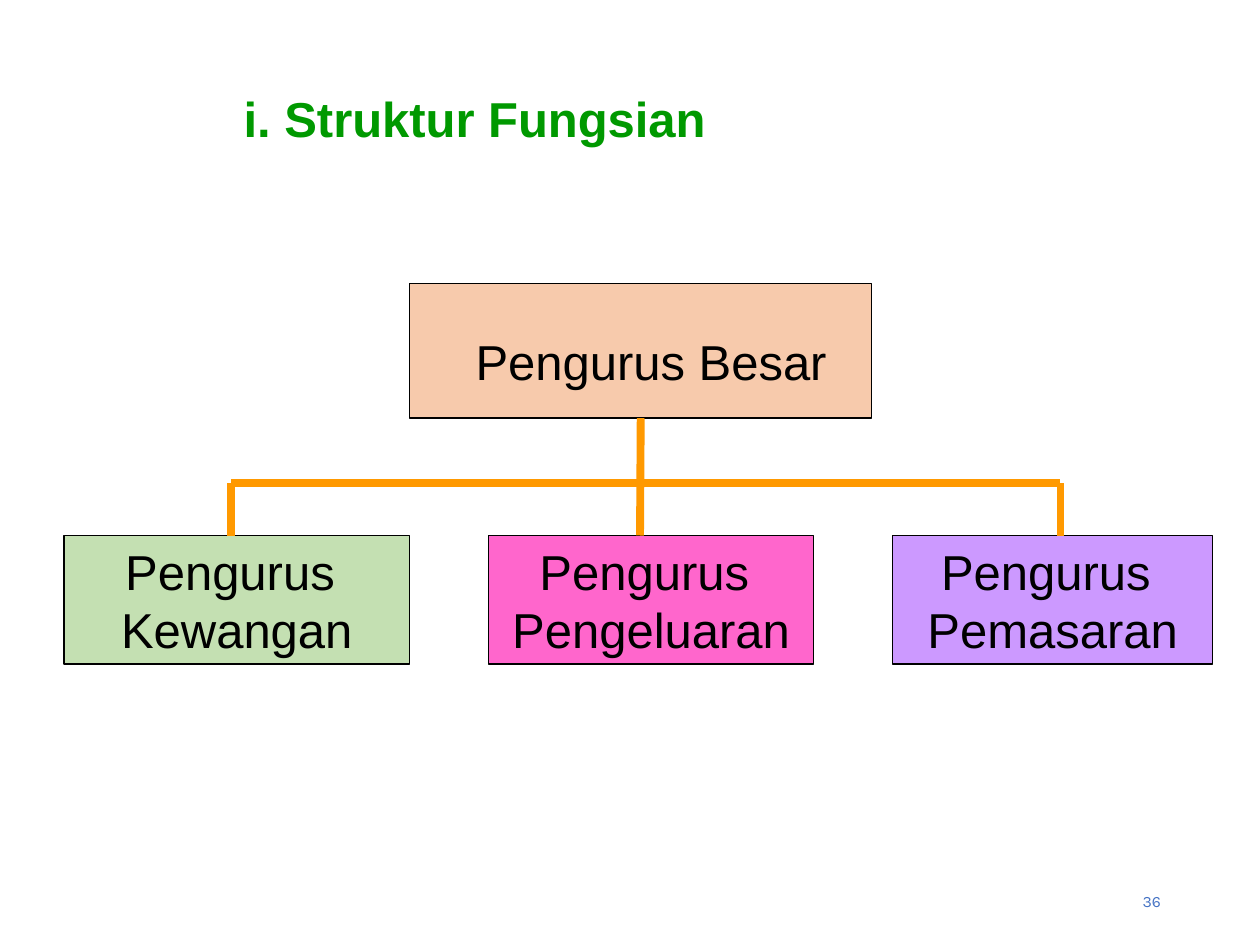
"""Build the functional structure organisation chart slide."""
import pptx
import pptx.dml.color
import pptx.enum.shapes
import pptx.enum.text
import pptx.oxml.ns
import pptx.util
from lxml import etree

Pt = pptx.util.Pt
ALIGN = pptx.enum.text.PP_ALIGN
ANCHOR = pptx.enum.text.MSO_ANCHOR

COLOURS = {
    "black": "000000", "peach": "F7CAAC", "green": "C4E0B2", "pink": "FF66CC",
    "violet": "CC99FF", "orange": "FF9900", "title": "009900", "number": "4472C4",
}
TITLE = "i. Struktur Fungsian"
HEAD = "Pengurus Besar"
SLIDE_NUMBER = "36"
DEPARTMENTS = [
    ("Pengurus \vKewangan", "green", 36.5, 197.5),
    ("Pengurus \vPengeluaran", "pink", 279, 186),
    ("Pengurus \vPemasaran", "violet", 510, 183),
]
HEAD_BOX = (234, 162, 264.25, 77)
DEPARTMENT_TOP, DEPARTMENT_HEIGHT = 306, 73.5
BAR_LEFT, BAR_RIGHT, BAR_TOP = 132, 606, 276
TRUNK_TOP, TRUNK_BOTTOM = (366, 239), (365.75, DEPARTMENT_TOP)


def colour(name):
    return pptx.dml.color.RGBColor.from_string(COLOURS[name])


def write(shape, text, size=28, font="Arial", ink="black", bold=False,
          align=ALIGN.CENTER, anchor=ANCHOR.MIDDLE, wrap=True):
    frame = shape.text_frame
    frame.text = text
    frame.word_wrap = wrap
    frame.auto_size = pptx.enum.text.MSO_AUTO_SIZE.NONE
    frame.vertical_anchor = anchor
    paragraph = frame.paragraphs[0]
    paragraph.alignment = align
    for run in paragraph.runs:
        run.font.size = Pt(size)
        run.font.name = font
        run.font.bold = bold
        run.font.color.rgb = colour(ink)
    return paragraph


def add_box(slide, fill, *place):
    box = slide.shapes.add_shape(
        pptx.enum.shapes.MSO_SHAPE.RECTANGLE, *map(Pt, place))
    box.shadow.inherit = False
    box.fill.solid()
    box.fill.fore_color.rgb = colour(fill)
    box.line.color.rgb = colour("black")
    box.line.width = Pt(0.75)
    return box


def add_line(slide, start, end):
    line = slide.shapes.add_connector(
        pptx.enum.shapes.MSO_CONNECTOR.STRAIGHT, *map(Pt, (*start, *end)))
    line.line.color.rgb = colour("orange")
    line.line.width = Pt(4.5)
    properties = line._element.spPr
    etree.SubElement(properties, pptx.oxml.ns.qn("a:effectLst"))
    return line


def main():
    presentation = pptx.Presentation()
    presentation.slide_width, presentation.slide_height = Pt(720), Pt(540)
    slide = presentation.slides.add_slide(presentation.slide_layouts[5])

    title = slide.shapes.title
    title.left, title.top, title.width, title.height = map(Pt, (132, 50.5, 354, 38))
    paragraph = write(title, TITLE, ink="title", bold=True, align=ALIGN.LEFT)
    paragraph.line_spacing = 0.9

    head = add_box(slide, "peach", *HEAD_BOX)
    for text, fill, left, width in DEPARTMENTS:
        box = add_box(slide, fill, left, DEPARTMENT_TOP, width, DEPARTMENT_HEIGHT)
        write(box, text, wrap=False)

    label = slide.shapes.add_textbox(*map(Pt, (258, 186, 228, 36)))
    write(label, HEAD, anchor=ANCHOR.TOP)

    trunk = add_line(slide, TRUNK_TOP, TRUNK_BOTTOM)
    trunk.begin_connect(head, 2)
    for x in (BAR_RIGHT, BAR_LEFT):
        add_line(slide, (x, DEPARTMENT_TOP), (x, BAR_TOP))
    add_line(slide, (BAR_LEFT, BAR_TOP), (BAR_RIGHT, BAR_TOP))

    number = slide.shapes.add_textbox(*map(Pt, (508.5, 500.5, 162, 28.75)))
    write(number, SLIDE_NUMBER, size=9, font="Karla", ink="number", align=ALIGN.RIGHT)

    presentation.save("out.pptx")


if __name__ == "__main__":
    main()
